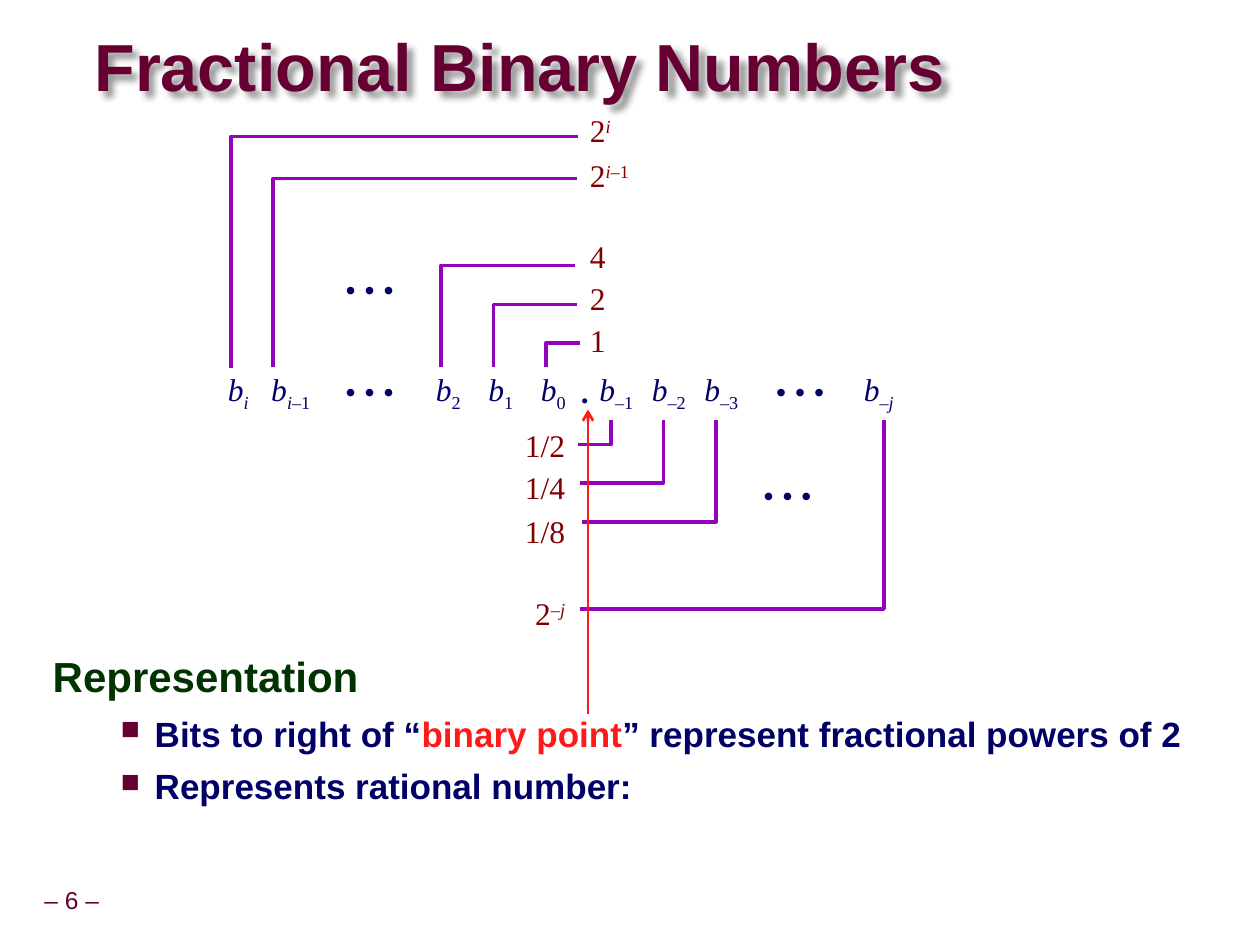
from pptx import Presentation
from pptx.dml.color import RGBColor
from pptx.enum.shapes import MSO_CONNECTOR, MSO_SHAPE
from pptx.enum.text import MSO_ANCHOR, PP_ALIGN
from pptx.oxml import parse_xml
from pptx.oxml.ns import nsdecls
from pptx.util import Inches, Pt

WINE = RGBColor(0x66, 0x00, 0x33)
GREEN = RGBColor(0x00, 0x33, 0x00)
NAVY = RGBColor(0x00, 0x00, 0x66)
RED = RGBColor(0xFF, 0x1A, 0x1A)
BROWN = RGBColor(0x80, 0x00, 0x00)
PURPLE = RGBColor(0x94, 0x03, 0xB9)
WHITE = RGBColor(0xFF, 0xFF, 0xFF)
LEFT, CENTER, RIGHT = PP_ALIGN.LEFT, PP_ALIGN.CENTER, PP_ALIGN.RIGHT
TOP, MIDDLE = MSO_ANCHOR.TOP, MSO_ANCHOR.MIDDLE
RECT, STRAIGHT = MSO_SHAPE.RECTANGLE, MSO_CONNECTOR.STRAIGHT
SANS, SERIF = "Arial", "Times New Roman"

UNIT = Inches(1) / 12
ROW, TALL = 33.75, 7          # top and height of the row of bits
TURN_X, TURN_Y = 110.2, 75    # a half turn maps x to TURN_X - x, y to TURN_Y - y
DOTS = "• • •"

# column, width, base, subscript pieces (* marks italics)
BITS = [
    (20.2, 5, "*b", ["*i"]), (25.2, 5, "*b", ["*i", "–1"]),
    (40.2, 5, "*b", ["2"]), (45.2, 5, "*b", ["1"]), (50.2, 5, "*b", ["0"]),
    (56.2, 5, "*b", ["–1"]), (61.2, 5, "*b", ["–2"]), (66.2, 5, "*b", ["–3"]),
    (81.2, 5, "*b", ["–", "*j"]),
    (71.2, 10, DOTS, []), (30.2, 10, DOTS, []), (55.2, 1, ".", []),
]
# top, base, superscript pieces
ABOVE = [(30, "1", []), (26, "2", []), (22, "4", []),
         (14.3, "2", ["*i", "–1"]), (10, "2", ["*i"])]
BELOW = [(40, "1/2", []), (44, "1/4", []), (48.2, "1/8", []),
         (56, "2", ["–", "*j"])]
# inner end, bit column, height
HOOKS = [(55.2, 52, 32.65), (55, 47, 29), (54.8, 42, 25.3), (55, 26, 17)]
OUTER = (55, 22, 13)


def u(n):
    return round(n * UNIT)


def style(run, size, color, font=SANS, bold=False):
    face = run.font
    face.name, face.size, face.bold = font, Pt(size), bold
    face.color.rgb = color


def add_box(slide, x, y, w, h, anchor=TOP, inset=(0.1, 0.05)):
    """Wrapping text box, lengths in inches."""
    frame = slide.shapes.add_textbox(*map(Inches, (x, y, w, h))).text_frame
    frame.word_wrap, frame.vertical_anchor = True, anchor
    frame.margin_left = frame.margin_right = Inches(inset[0])
    frame.margin_top = frame.margin_bottom = Inches(inset[1])
    return frame


def add_term(para, base, script, shift, color, align):
    """Write a base followed by a raised or lowered script."""
    para.alignment = align
    for i, piece in enumerate([base, *script]):
        run = para.add_run()
        run.text = piece.lstrip("*")
        style(run, 18, color, SERIF, bold=piece == ".")
        run.font.italic = piece.startswith("*")
        if i:
            run.font._element.set("baseline", str(shift * 1000))


def add_cell(slide, x, y, w, base, script=(), turn=0):
    cell = slide.shapes.add_shape(RECT, u(x), u(y), u(w), u(TALL))
    cell.shadow.inherit = False
    cell.fill.solid()
    cell.fill.fore_color.rgb = WHITE
    cell.line.fill.background()
    cell.rotation = turn
    frame = cell.text_frame
    frame.word_wrap, frame.vertical_anchor = False, MIDDLE
    frame.margin_left = frame.margin_right = 0
    add_term(frame.paragraphs[0], base, script, -25, NAVY, CENTER)


def add_weight(slide, x, y, w, base, script, align):
    frame = add_box(slide, x / 12, y / 12, w / 12, 0.4)
    add_term(frame.paragraphs[0], base, script, 30, BROWN, align)


def add_hook(slide, end, col, top, turned=False):
    """Line from a weight across to the column of its bit."""
    points = [(end, top), (col, top), (col, 35)]
    if turned:
        points = [(TURN_X - x, TURN_Y - y) for x, y in points]
    start, *rest = [(u(x), u(y)) for x, y in points]
    path = slide.shapes.build_freeform(*start)
    path.add_line_segments(rest, close=False)
    hook = path.convert_to_shape()
    hook.shadow.inherit = False
    hook.fill.background()
    hook.line.color.rgb, hook.line.width = PURPLE, Pt(2)


def add_arrow(slide, x, start, end):
    arrow = slide.shapes.add_connector(STRAIGHT, u(x), u(start), u(x), u(end))
    arrow.line.color.rgb, arrow.line.width = RED, Pt(1.5)
    arrow.line._get_or_add_ln().append(
        parse_xml(f'<a:tailEnd {nsdecls("a")} type="arrow"/>'))
    arrow._element.spPr.append(parse_xml(f'<a:effectLst {nsdecls("a")}/>'))


def add_title(slide, text):
    frame = add_box(slide, 0.75, 0.25, 7.51, 0.63, MIDDLE, (0, 0))
    frame.text = text
    para = frame.paragraphs[0]
    para.line_spacing = 0.87
    style(para.runs[0], 38, WINE, bold=True)
    frame._element.getparent().spPr.append(parse_xml(
        f'<a:effectLst {nsdecls("a")}><a:outerShdw blurRad="50800" '
        'dist="50800" dir="2700000" algn="tl"><a:srgbClr val="000000">'
        '<a:alpha val="40000"/></a:srgbClr></a:outerShdw></a:effectLst>'))


def add_bullet(frame, parts):
    para = frame.add_paragraph()
    para.space_before = Pt(6)
    for text, color in parts:
        run = para.add_run()
        run.text = text
        style(run, 20, color, bold=True)
    props = para._p.get_or_add_pPr()
    props.set("marL", str(Inches(0.81)))
    props.set("indent", str(Inches(-0.27)))
    for tag in (f'buClr {nsdecls("a")}><a:srgbClr val="{WINE}"/></a:buClr',
                f'buSzPct {nsdecls("a")} val="75000"/',
                f'buChar {nsdecls("a")} char="■"/'):
        props.append(parse_xml(f"<a:{tag}>"))


def add_body(slide):
    frame = add_box(slide, 0.32, 5.14, 9.27, 1.19)
    frame.text = "Representation"
    head = frame.paragraphs[0]
    head.line_spacing, head.space_before = 0.95, Pt(2)
    style(head.runs[0], 24, GREEN, bold=True)
    add_bullet(frame, [("Bits to right of “", NAVY), ("binary point", RED),
                       ("” represent fractional powers of 2", NAVY)])
    add_bullet(frame, [("Represents rational number:", NAVY)])


def add_footer(slide, text):
    frame = add_box(slide, 0.24, 7, 0.66, 0.31, MIDDLE, (0.05, 0.05))
    frame.word_wrap = False
    frame.text = text
    para = frame.paragraphs[0]
    para.alignment, para.line_spacing = CENTER, 0.9
    style(para.runs[0], 14, WINE)


def main():
    deck = Presentation()
    deck.slide_width, deck.slide_height = Inches(10), Inches(7.5)
    slide = deck.slides.add_slide(deck.slide_layouts[6])
    add_footer(slide, "– 6 –")
    add_title(slide, "Fractional Binary Numbers")
    add_body(slide)
    for x, w, base, script in BITS:
        add_cell(slide, x, ROW, w, base, script)
    for y, base, script in ABOVE:
        add_weight(slide, 55, y, 7, base, script, LEFT)
    for hook in [*HOOKS, OUTER]:
        add_hook(slide, *hook)
    add_cell(slide, 30.2, 24, 10, DOTS)
    for hook in HOOKS:
        add_hook(slide, *hook, turned=True)
    add_cell(slide, 70, 44, 10, DOTS, turn=180)
    for y, base, script in BELOW:
        add_weight(slide, 48, y, 7, base, script, RIGHT)
    add_arrow(slide, 56, 68, 39)
    deck.save("out.pptx")


if __name__ == "__main__":
    main()
